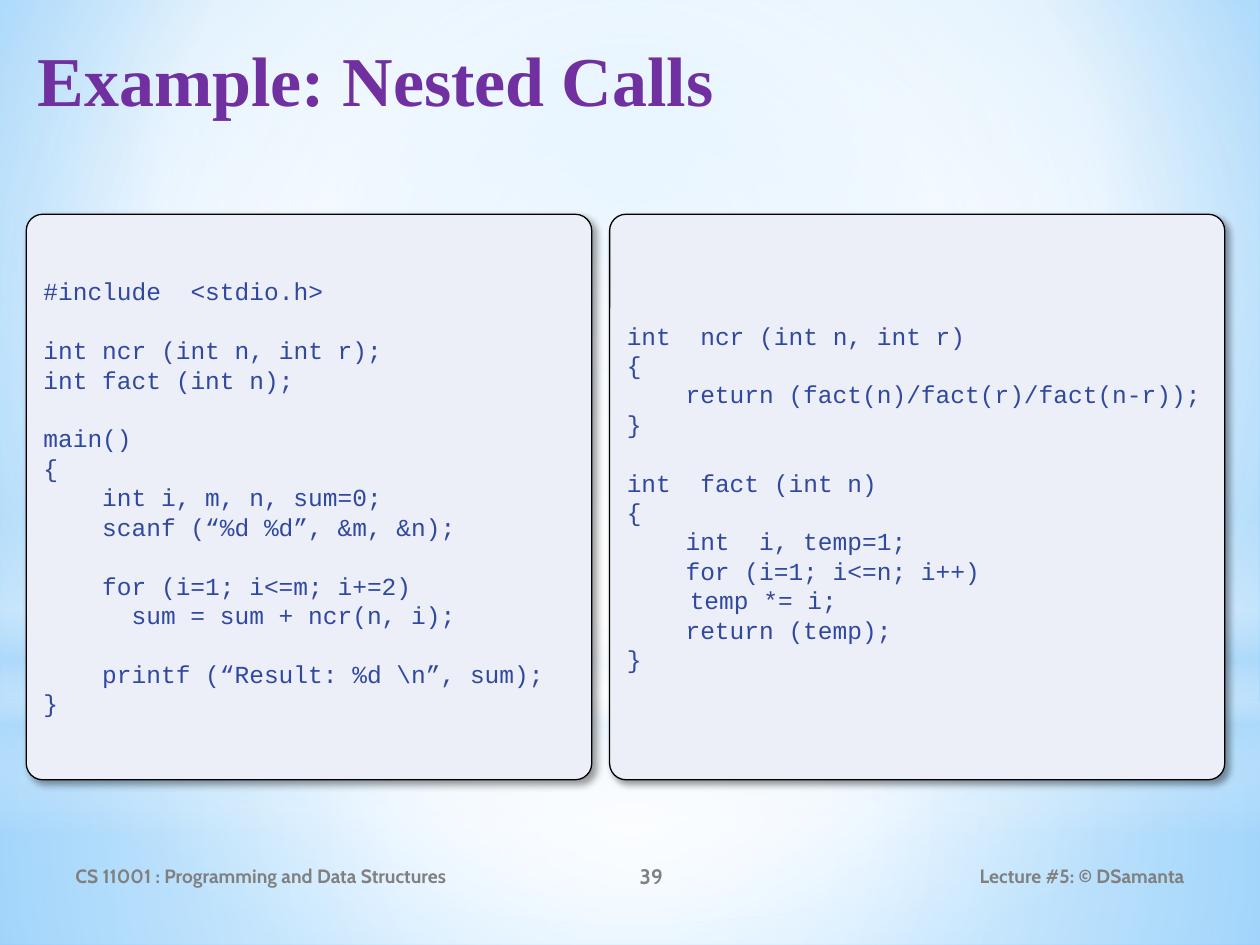
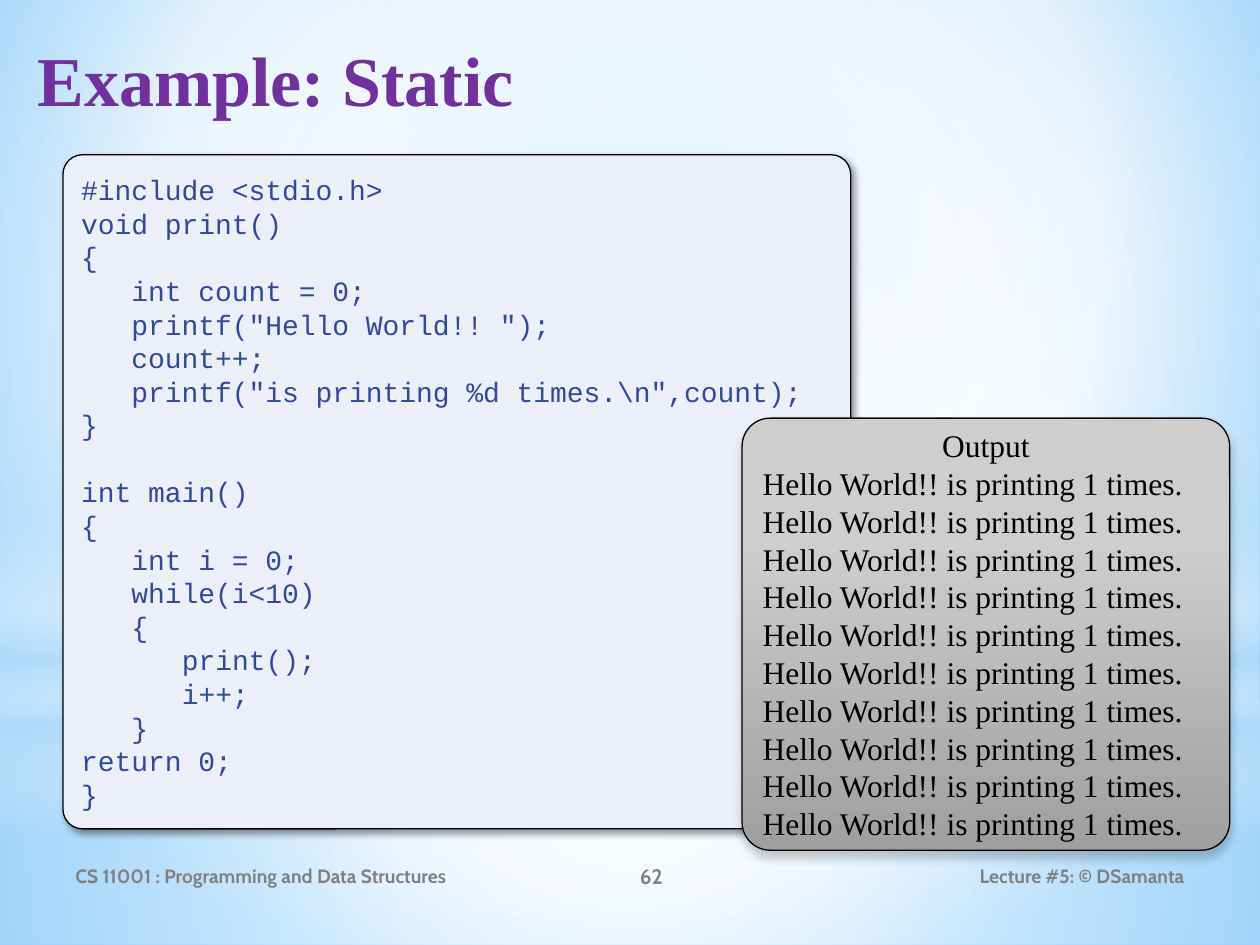
from lxml.etree import SubElement
from pptx import Presentation
from pptx.dml.color import RGBColor
from pptx.enum.shapes import MSO_SHAPE
from pptx.enum.text import MSO_ANCHOR, PP_ALIGN
from pptx.oxml import parse_xml
from pptx.oxml.ns import nsdecls, qn
from pptx.util import Cm, Pt

COLORS = {
    "title": "7030A0",
    "footer": "808080",
    "code": "31489F",
    "panel": "ECEFF8",
    "ink": "000000",
    "white": "FFFFFF",
    "haze": "B4DCFA",
    "sky_light": "9ED5FF",
    "sky_deep": "5BB9FF",
    "output_light": "CECECE",
    "output_dark": "9F9F9F",
}
SERIF, MONO, SANS = "Times New Roman", "Courier New", "Cabin"
LEADING = 1.2
MONO_ADVANCE = 0.6
CENTER = (50, 50, 50, 50)
BACKDROP_STOPS = [(0, "sky_light", 100), (60, "white", 100), (100, "sky_deep", 100)]
HAZE_LAYERS = [
    (MSO_SHAPE.RECTANGLE, (0, 14.17, 25.4, 4.88),
     [(0, "white", 91), (37, "white", 76), (100, "haze", 79)], CENTER),
    (MSO_SHAPE.RECTANGLE, (0, 0, 25.4, 14.17),
     [(0, "white", 89), (48, "white", 62), (100, "haze", 79)], CENTER),
    (MSO_SHAPE.RECTANGLE, (0, 10.46, 25.4, 6.35),
     [(0, "white", 0), (29, "white", 30), (45, "haze", 40),
      (55, "white", 26), (65, "haze", 60), (100, "white", 0)], None),
    (MSO_SHAPE.OVAL, (0, 4.45, 25.4, 14.17),
     [(0, "white", 100), (56, "white", 0)], CENTER),
]
COURSE = "CS 11001 : Programming and Data Structures"
LECTURE = "Lecture #5: © DSamanta"

NESTED_MAIN = """#include  <stdio.h>

int ncr (int n, int r);
int fact (int n);

main()
{
    int i, m, n, sum=0;
    scanf (“%d %d”, &m, &n);

    for (i=1; i<=m; i+=2)
      sum = sum + ncr(n, i);

    printf (“Result: %d \\n”, sum);
}"""
NESTED_FUNCTIONS = """int  ncr (int n, int r)
{
    return (fact(n)/fact(r)/fact(n-r));
}

int  fact (int n)
{
    int  i, temp=1;
    for (i=1; i<=n; i++)
\ttemp *= i;
    return (temp);
}"""
STATIC_PROGRAM = """#include <stdio.h>
void print()
{
   int count = 0;
   printf("Hello World!! ");
   count++;
   printf("is printing %d times.\\n",count);
}

int main()
{
   int i = 0;
   while(i<10)
   {
      print();
      i++;
   }
return 0;
}"""
OUTPUT_LINES = ["Output"] + ["Hello World!! is printing 1 times."] * 10


def place(box):
    return [Cm(length) for length in box]


def paint_gradient(holder, stops, focus=None):
    gradient = parse_xml(f'<a:gradFill {nsdecls("a")} rotWithShape="1"><a:gsLst/></a:gradFill>')
    for position, color, opacity in stops:
        stop = SubElement(gradient[0], qn("a:gs"), pos=str(position * 1000))
        tint = SubElement(stop, qn("a:srgbClr"), val=COLORS[color])
        if opacity < 100:
            SubElement(tint, qn("a:alpha"), val=str(opacity * 1000))
    if focus:
        radial = SubElement(gradient, qn("a:path"), {"path": "circle"})
        edges = {edge: str(share * 1000) for edge, share in zip("ltrb", focus)}
        SubElement(radial, qn("a:fillToRect"), edges)
    else:
        SubElement(gradient, qn("a:lin"), ang="5400000", scaled="0")
    solid = holder.find(".//" + qn("a:solidFill"))
    solid.getparent().replace(solid, gradient)


def cast_shadow(shape, opacity, blur, distance, angle):
    effects = shape._element.spPr.find(qn("a:effectLst"))
    shadow = SubElement(effects, qn("a:outerShdw"), blurRad=str(Pt(blur)),
                        dist=str(Pt(distance)), dir=str(angle * 60000),
                        algn="ctr", rotWithShape="0")
    tint = SubElement(shadow, qn("a:srgbClr"), val=COLORS["ink"])
    SubElement(tint, qn("a:alpha"), val=str(opacity * 1000))


def style(paragraph, font, size, color, bold=False, align=PP_ALIGN.LEFT):
    paragraph.alignment = align
    for run in paragraph.runs:
        run.font.name = font
        run.font.size = Pt(size)
        run.font.bold = bold
        run.font.color.rgb = RGBColor.from_string(COLORS[color])


def add_backdrop(slide):
    slide.background.fill.solid()
    paint_gradient(slide._element, BACKDROP_STOPS, (20, 10, 20, 60))
    for outline, box, stops, focus in HAZE_LAYERS:
        layer = slide.shapes.add_shape(outline, *place(box))
        layer.shadow.inherit = False
        layer.fill.solid()
        paint_gradient(layer._element, stops, focus)
        layer.line.fill.background()


def add_title(slide, box, title):
    frame = slide.shapes.add_textbox(*place(box)).text_frame
    frame.word_wrap = True
    frame.margin_top = Cm(0.2)
    frame.text = title
    heading = frame.paragraphs[0]
    style(heading, SERIF, 40, "title", bold=True)
    heading.line_spacing = Pt(40 * LEADING)


def add_footer(slide, box, number):
    left, top, width, height = box
    entries = [
        (0, 9.32, COURSE, 11, PP_ALIGN.LEFT),
        (9.32, 5.08, number, 12, PP_ALIGN.CENTER),
        (width - 6.99, 6.99, LECTURE, 11, PP_ALIGN.RIGHT),
    ]
    for offset, entry_width, wording, size, align in entries:
        entry_box = (left + offset, top, entry_width, height)
        frame = slide.shapes.add_textbox(*place(entry_box)).text_frame
        frame.word_wrap = True
        frame.vertical_anchor = MSO_ANCHOR.MIDDLE
        frame.text = wording
        style(frame.paragraphs[0], SANS, size, "footer", bold=True, align=align)


def add_panel(slide, box, rounding):
    panel = slide.shapes.add_shape(MSO_SHAPE.ROUNDED_RECTANGLE, *place(box))
    panel.adjustments[0] = rounding
    panel.shadow.inherit = False
    panel.fill.solid()
    panel.fill.fore_color.rgb = RGBColor.from_string(COLORS["panel"])
    panel.text_frame.word_wrap = True
    panel.text_frame.vertical_anchor = MSO_ANCHOR.MIDDLE
    return panel


def outline_panel(panel):
    panel.line.color.rgb = RGBColor.from_string(COLORS["ink"])
    panel.line.width = Pt(0.75)


def add_code(slide, box, code, size):
    panel = add_panel(slide, box, 0.029)
    outline_panel(panel)
    cast_shadow(panel, 40, 4, 3, 45)
    frame = panel.text_frame
    lines = code.split("\n")
    frame.text = "\n".join(line.lstrip(" ") for line in lines if line)
    paragraphs = iter(frame.paragraphs)
    gap = 0
    for line in lines:
        if not line:
            gap = size * LEADING
            continue
        paragraph = next(paragraphs)
        style(paragraph, MONO, size, "code")
        paragraph.line_spacing = Pt(size * LEADING)
        paragraph.space_before = Pt(gap)
        depth = len(line) - len(line.lstrip(" "))
        if depth:
            indent = Pt(depth * size * MONO_ADVANCE)
            paragraph._p.get_or_add_pPr().set("marL", str(indent))
        gap = 0


def add_output(slide, box):
    panel = add_panel(slide, box, 0.065)
    paint_gradient(panel._element, [(28, "output_light", 100), (100, "output_dark", 100)])
    outline_panel(panel)
    cast_shadow(panel, 20, 5, 4, 90)
    panel.text_frame.text = "\n".join(OUTPUT_LINES)
    for row, paragraph in enumerate(panel.text_frame.paragraphs):
        align = PP_ALIGN.LEFT if row else PP_ALIGN.CENTER
        style(paragraph, SERIF, 18, "ink", align=align)
        paragraph.line_spacing = Pt(18 * LEADING)


def add_lecture_slide(deck, title, number):
    slide = deck.slides.add_slide(deck.slide_layouts[6])
    add_backdrop(slide)
    add_title(slide, (0.51, 0.53, 24.21, 3.18), title)
    add_footer(slide, (1.27, 17.15, 22.86, 1.02), number)
    return slide


def main():
    deck = Presentation()
    deck.slide_width, deck.slide_height = Cm(25.4), Cm(19.05)

    nested = add_lecture_slide(deck, "Example: Nested Calls", "39")
    add_code(nested, (0.53, 4.32, 11.4, 11.4), NESTED_MAIN, 14)
    add_code(nested, (12.29, 4.32, 12.4, 11.4), NESTED_FUNCTIONS, 14)

    static = add_lecture_slide(deck, "Example: Static", "62")
    add_code(static, (1.27, 3.12, 15.88, 13.59), STATIC_PROGRAM, 16)
    add_output(static, (14.96, 8.43, 9.83, 8.71))

    deck.save("out.pptx")


if __name__ == "__main__":
    main()
